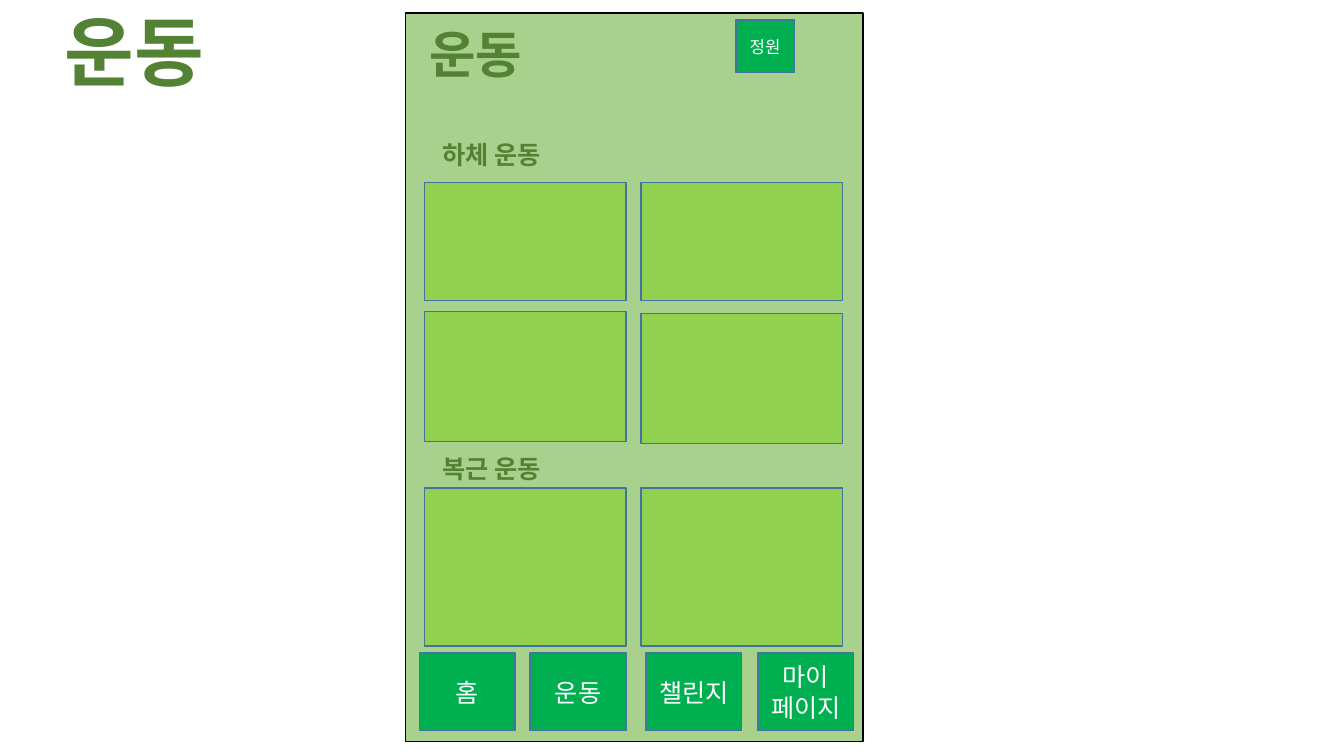
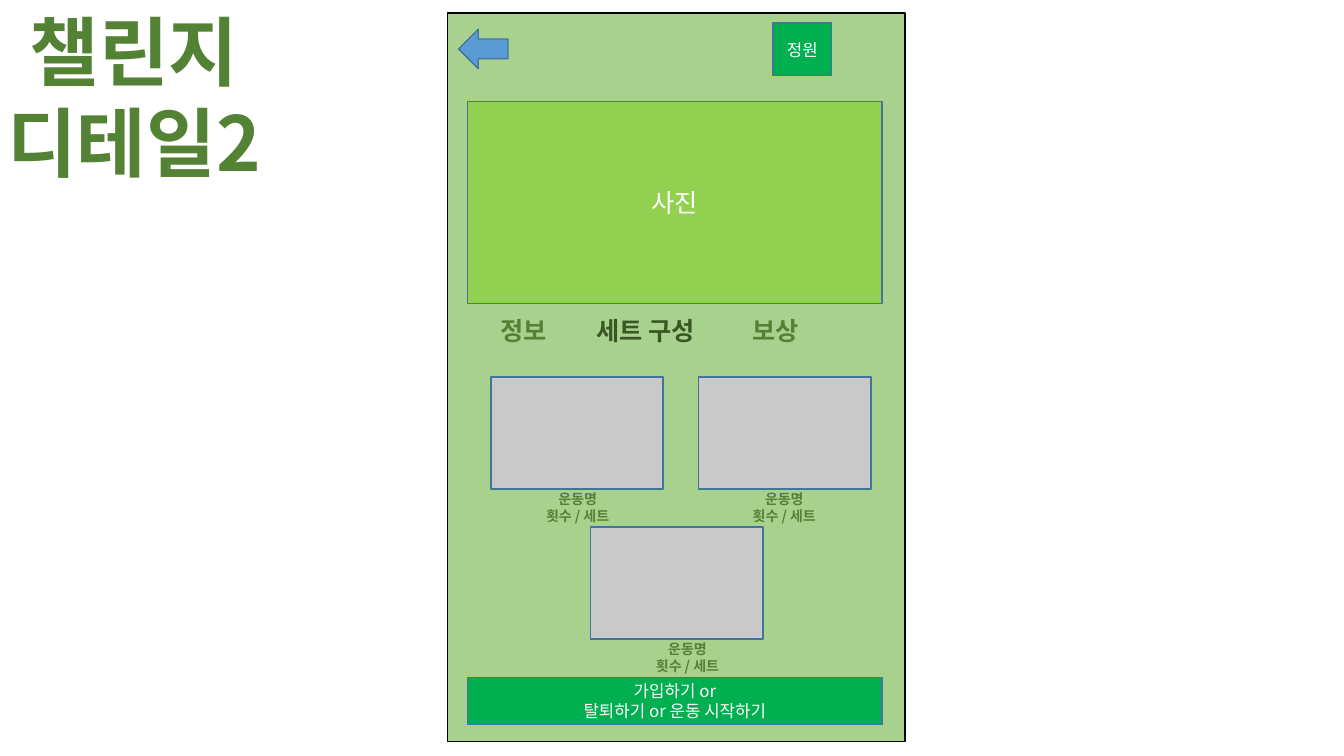
from dataclasses import dataclass

from lxml.etree import SubElement
from pptx import Presentation
from pptx.dml.color import RGBColor
from pptx.enum.shapes import MSO_SHAPE
from pptx.enum.text import MSO_ANCHOR, MSO_AUTO_SIZE, PP_ALIGN
from pptx.oxml.ns import qn
from pptx.util import Inches, Pt


@dataclass(frozen=True)
class Theme:
    font: str = "Noto Sans CJK KR"
    screen: str = "A9D18E"
    screen_edge: str = "000000"
    card: str = "92D050"
    button: str = "00B050"
    placeholder: str = "C9C9C9"
    arrow: str = "5B9BD5"
    edge: str = "43739E"
    heading: str = "548235"
    active: str = "385723"
    on_fill: str = "FFFFFF"
    title_size: int = 54
    header_size: int = 36
    body_size: int = 18
    small_size: int = 12
    caption_size: int = 10


class Wireframe:
    COLUMNS, ROWS = 80, 45

    def __init__(self, theme):
        self.theme = theme
        self.deck = Presentation()
        self.deck.slide_width = Inches(13.33)
        self.deck.slide_height = Inches(7.5)
        self.slide = None

    def place(self, left, top, width, height):
        column = self.deck.slide_width / self.COLUMNS
        row = self.deck.slide_height / self.ROWS
        return round(left * column), round(top * row), round(width * column), round(height * row)

    def style_run(self, run, size, color, bold):
        font = run.font
        font.size, font.bold, font.name = Pt(size), bold, self.theme.font
        font.color.rgb = RGBColor.from_string(color)
        SubElement(run._r.get_or_add_rPr(), qn("a:ea")).set("typeface", self.theme.font)

    def set_words(self, frame, words, size, color, bold=False):
        frame.word_wrap = True
        frame.text = words
        for paragraph in frame.paragraphs:
            paragraph.alignment = PP_ALIGN.CENTER
            for run in paragraph.runs:
                self.style_run(run, size, color, bold)

    def box(self, area, fill, words="", size=None, edge=None, outline=MSO_SHAPE.RECTANGLE):
        shape = self.slide.shapes.add_shape(outline, *self.place(*area))
        shape.shadow.inherit = False
        shape.fill.solid()
        shape.fill.fore_color.rgb = RGBColor.from_string(fill)
        shape.line.color.rgb = RGBColor.from_string(edge or self.theme.edge)
        shape.line.width = Pt(1)
        if words:
            shape.text_frame.vertical_anchor = MSO_ANCHOR.MIDDLE
            self.set_words(shape.text_frame, words, size or self.theme.body_size, self.theme.on_fill)

    def text_frame(self, area):
        frame = self.slide.shapes.add_textbox(*self.place(*area)).text_frame
        frame.word_wrap = True
        frame.auto_size = MSO_AUTO_SIZE.SHAPE_TO_FIT_TEXT
        return frame

    def label(self, area, words, size):
        self.set_words(self.text_frame(area), words, size, self.theme.heading, bold=True)

    def tab_row(self, area, tabs, stops, active):
        paragraph = self.text_frame(area).paragraphs[0]
        for index, tab in enumerate(tabs):
            run = paragraph.add_run()
            run.text = f"\t{tab}" if index else tab
            color = self.theme.active if tab == active else self.theme.heading
            self.style_run(run, self.theme.body_size, color, True)
        stop_list = SubElement(paragraph._p.get_or_add_pPr(), qn("a:tabLst"))
        for stop in stops:
            tab_stop = SubElement(stop_list, qn("a:tab"))
            tab_stop.set("pos", str(self.place(stop, 0, 0, 0)[0]))
            tab_stop.set("algn", "l")

    def screen(self, title, title_height, left, garden):
        theme = self.theme
        self.slide = self.deck.slides.add_slide(self.deck.slide_layouts[6])
        self.box((left, 0.78, 27.24, 43.38), theme.screen, edge=theme.screen_edge)
        self.label((-1.5, 0, 18.96, title_height), title, theme.title_size)
        self.box((*garden, 3.48, 3.12), theme.button, "정원", theme.small_size)


def build_exercise(wire):
    theme = wire.theme
    wire.screen("운동", 6.06, left=24.12, garden=(43.8, 1.2))
    wire.label((24.3, 1.08, 8.04, 4.26), "운동", theme.header_size)
    for section, top in (("하체 운동", 7.98), ("복근 운동", 26.7)):
        wire.label((24.96, top, 8.64, 2.4), section, theme.body_size)
    for left_top, right_top, height in ((10.86, 10.86, 7.02), (18.54, 18.66, 7.74), (29.04, 29.04, 9.42)):
        for left, top in ((25.26, left_top), (38.16, right_top)):
            wire.box((left, top, 12, height), theme.card)
    for menu, left in (("홈", 24.96), ("운동", 31.56), ("챌린지", 38.46), ("마이\n페이지", 45.12)):
        wire.box((left, 38.88, 5.7, 4.62), theme.button, menu)


def build_challenge_detail(wire):
    theme = wire.theme
    wire.screen("챌린지\n디테일2", 11.52, left=26.64, garden=(46.02, 1.38))
    wire.box((27.3, 1.74, 2.94, 2.34), theme.arrow, outline=MSO_SHAPE.LEFT_ARROW)
    wire.box((27.84, 6.06, 24.66, 12), theme.card, "사진")
    wire.tab_row((29.22, 18.48, 23.34, 2.4), ("정보", "세트 구성", "보상"), (5.7, 15), "세트 구성")
    wire.box((27.84, 40.32, 24.66, 2.82), theme.button, "가입하기 or\n탈퇴하기 or 운동 시작하기", theme.small_size)
    for left, top, indent in ((29.22, 22.44, 1.74), (41.58, 22.44, 1.68), (35.16, 31.38, 2.34)):
        wire.box((left, top, 10.26, 6.66), theme.placeholder)
        wire.label((left + indent, top + 6.48, 6.84, 2.64), "운동명\n횟수 / 세트", theme.caption_size)


def main():
    wire = Wireframe(Theme())
    build_exercise(wire)
    build_challenge_detail(wire)
    wire.deck.save("out.pptx")


if __name__ == "__main__":
    main()
